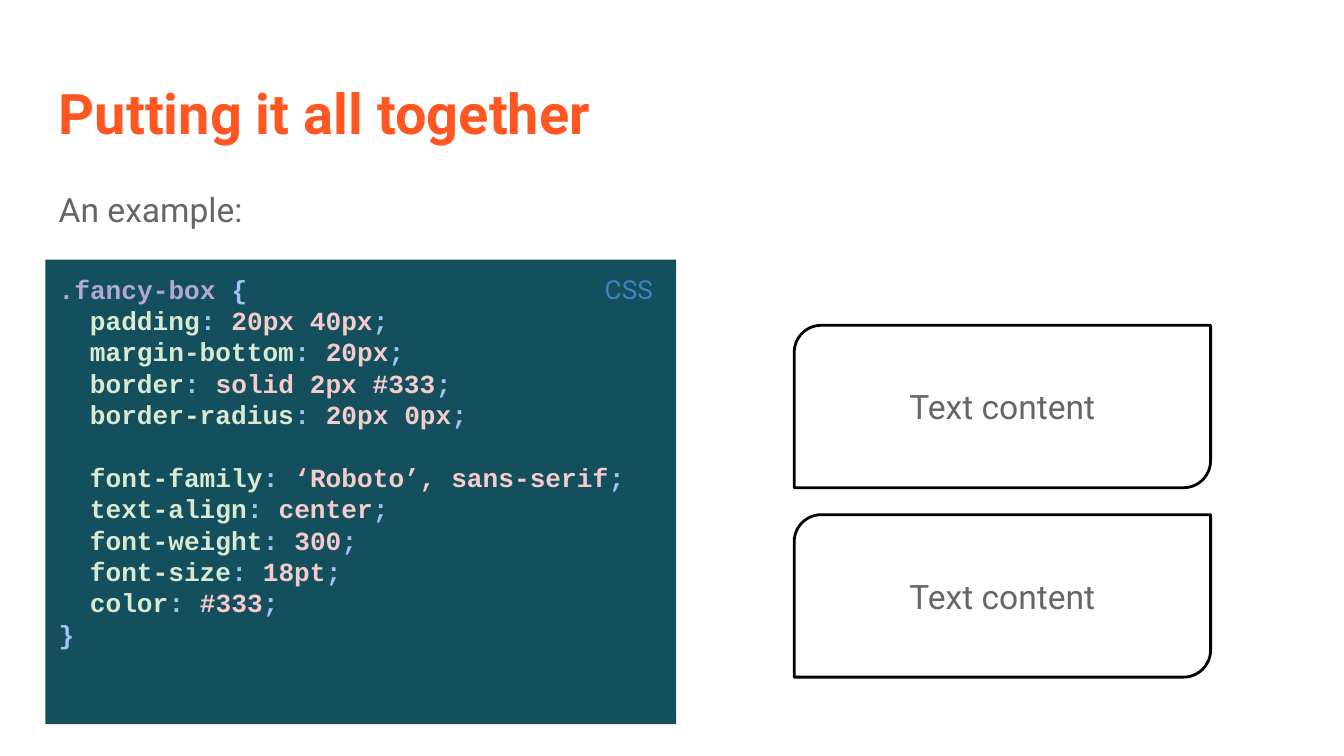
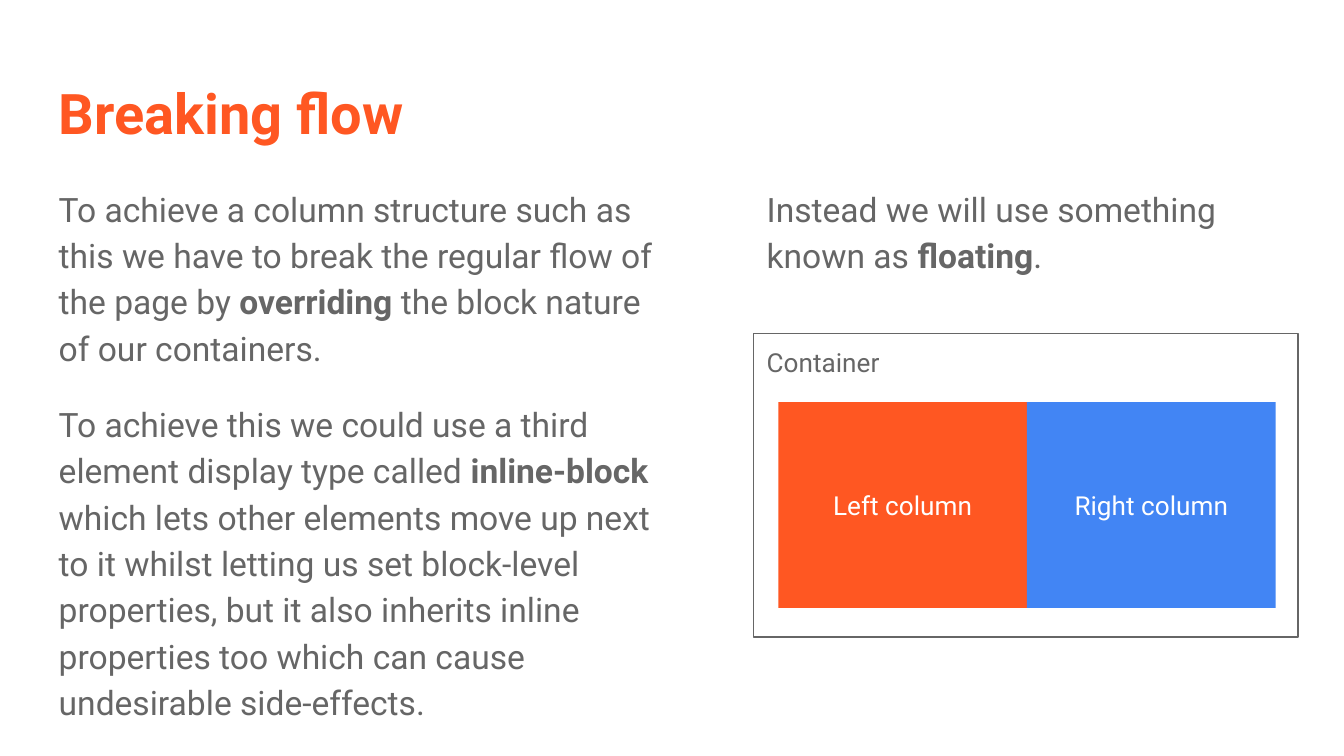
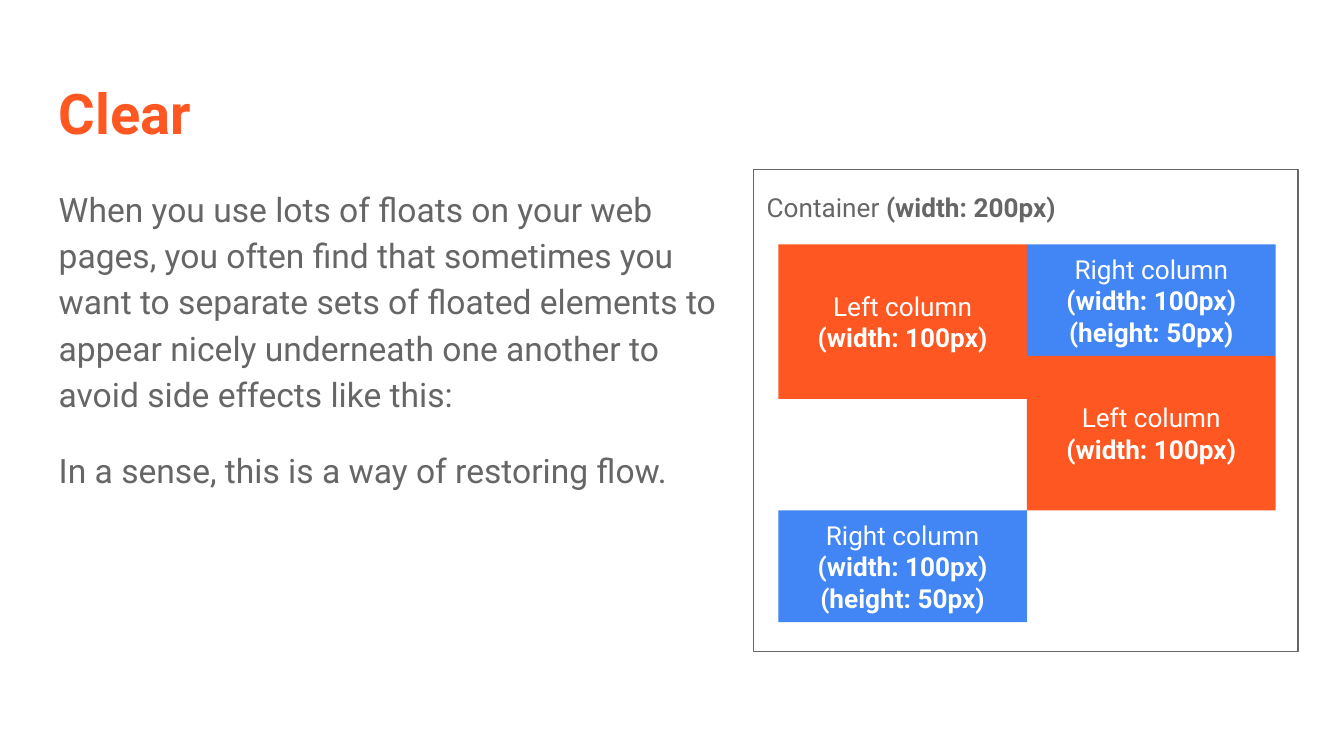
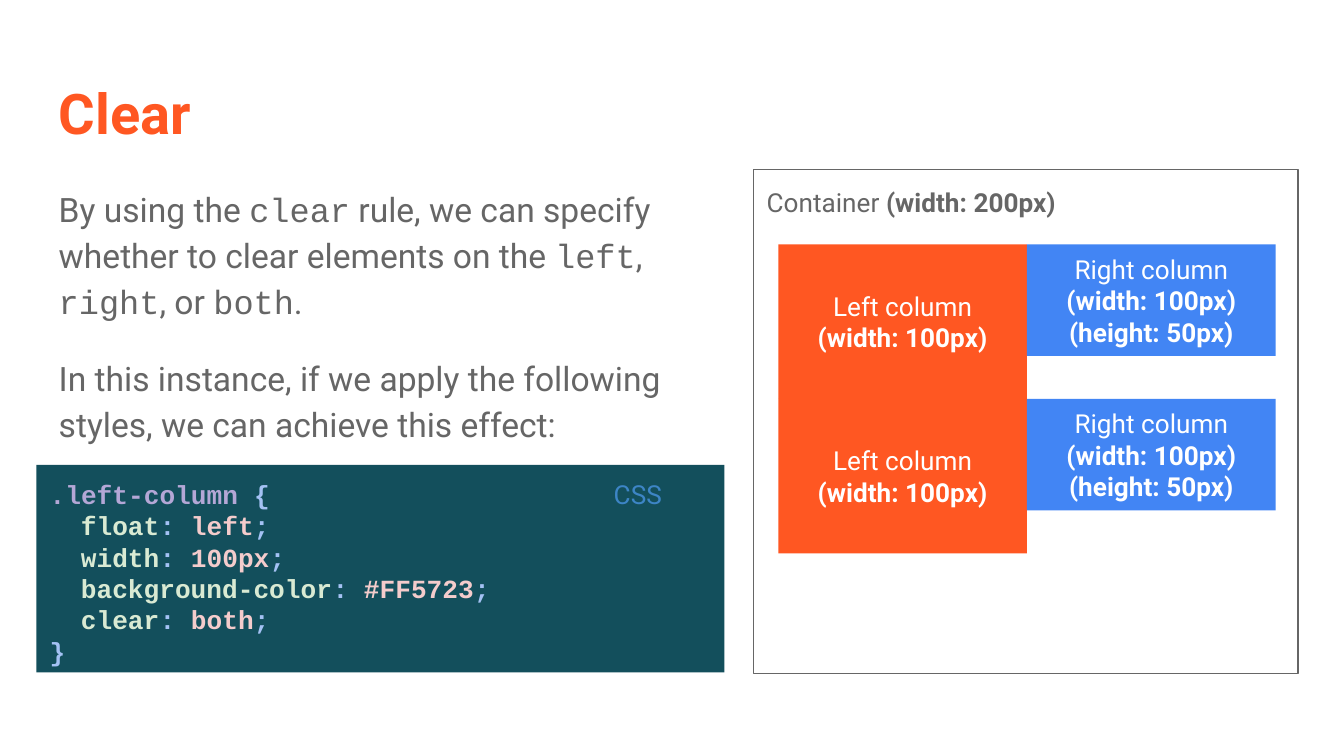
from lxml.etree import SubElement
from pptx import Presentation
from pptx.dml.color import RGBColor
from pptx.enum.shapes import MSO_SHAPE
from pptx.enum.text import MSO_ANCHOR, MSO_AUTO_SIZE, PP_ALIGN
from pptx.oxml.ns import qn
from pptx.util import Cm, Pt

COLORS = {
    "accent": "FF5722",
    "blue": "4285F4",
    "text": "666666",
    "white": "FFFFFF",
    "black": "000000",
    "code_back": "134F5C",
    "code_label": "3D85C6",
    "selector": "B4A7D6",
    "punctuation": "A4C2F4",
    "property": "D9EAD3",
    "value": "F4CCCC",
}
SANS = "Roboto"
MONO = "Courier New"
BOLD = {"bold": True}
LEFT = 0.86
BODY_TOP = 3.2
PANEL_LEFT = 14.24
PANEL_WIDTH = 10.29
COLUMN_LEFT = 14.71
COLUMN_WIDTH = 4.7
LEFT_HEIGHT = 2.92
RIGHT_HEIGHT = 2.11
COLUMNS_TOP = 4.62
CODE_LINE = Pt(16.8)


def color(name):
    return RGBColor.from_string(COLORS[name])


def add_run(paragraph, text, size=14, font=SANS, fill="text", bold=False):
    run = paragraph.add_run()
    run.text = text
    run.font.size = Pt(size)
    run.font.name = font
    run.font.bold = bold
    run.font.color.rgb = color(fill)


def set_indent(paragraph, left=0):
    properties = paragraph._p.get_or_add_pPr()
    properties.set("marL", str(Cm(left)))
    properties.set("indent", "0")
    SubElement(properties, qn("a:buNone"))


def prepare_frame(shape, anchor=MSO_ANCHOR.TOP, top_inset=0.25):
    frame = shape.text_frame
    frame.word_wrap = True
    frame.auto_size = MSO_AUTO_SIZE.NONE
    frame.vertical_anchor = anchor
    frame.margin_left = frame.margin_right = frame.margin_bottom = Cm(0.25)
    frame.margin_top = Cm(top_inset)
    return frame


def next_paragraph(frame, index):
    return frame.add_paragraph() if index else frame.paragraphs[0]


def write_text(frame, lines, align=PP_ALIGN.LEFT, spacing=1.0, gap=0,
               emphasis=BOLD, **style):
    """Pieces between bars take the emphasis."""
    for index, line in enumerate(lines):
        paragraph = next_paragraph(frame, index)
        paragraph.alignment = align
        paragraph.line_spacing = spacing
        paragraph.space_before = Pt(gap if index else 0)
        paragraph.space_after = Pt(0)
        set_indent(paragraph)
        for position, piece in enumerate(line.split("|")):
            if piece:
                extra = emphasis if position % 2 else {}
                add_run(paragraph, piece, **{**style, **extra})


class Deck:
    def __init__(self):
        self.presentation = Presentation()
        self.presentation.slide_width = Cm(25.4)
        self.presentation.slide_height = Cm(14.29)
        self.slide = None

    def start_slide(self, title, body, width, height, emphasis=BOLD):
        layout = self.presentation.slide_layouts[1]
        self.slide = self.presentation.slides.add_slide(layout)
        heading, content = self.slide.placeholders
        self.place(heading, LEFT, 1.24, 23.67, 1.6)
        write_text(prepare_frame(heading), [title], size=30, fill="accent", bold=True)
        self.place(content, LEFT, BODY_TOP, width, height)
        self.write_body(content, body, emphasis)

    def place(self, shape, left, top, width, height):
        shape.left, shape.top = Cm(left), Cm(top)
        shape.width, shape.height = Cm(width), Cm(height)

    def write_body(self, shape, lines, emphasis=BOLD):
        write_text(prepare_frame(shape), lines, spacing=1.15, gap=16,
                   emphasis=emphasis, size=18)

    def text_box(self, left, top, width, height):
        return self.slide.shapes.add_textbox(Cm(left), Cm(top), Cm(width), Cm(height))

    def box(self, left, top, width, height, fill=None, line=None, weight=0.75,
            kind=MSO_SHAPE.RECTANGLE):
        shape = self.slide.shapes.add_shape(
            kind, Cm(left), Cm(top), Cm(width), Cm(height))
        shape.shadow.inherit = False
        if fill:
            shape.fill.solid()
            shape.fill.fore_color.rgb = color(fill)
        else:
            shape.fill.background()
        if line:
            shape.line.color.rgb = color(line)
            shape.line.width = Pt(weight)
        else:
            shape.line.fill.background()
        return shape

    def centered_box(self, lines, *bounds, size=14, text_fill="white", **look):
        frame = prepare_frame(self.box(*bounds, **look), MSO_ANCHOR.MIDDLE)
        write_text(frame, lines, align=PP_ALIGN.CENTER, size=size, fill=text_fill)

    def container(self, label, top, height, fill=None, top_inset=0.25):
        panel = self.box(PANEL_LEFT, top, PANEL_WIDTH, height, fill, "text")
        write_text(prepare_frame(panel, top_inset=top_inset), [label])

    def column(self, side, place, top, height, fill, *sizes):
        lines = [f"{side} column", *(f"|({size})|" for size in sizes)]
        self.centered_box(lines, COLUMN_LEFT + place * COLUMN_WIDTH, top,
                          COLUMN_WIDTH, height, fill=fill)

    def left_column(self, place, top):
        self.column("Left", place, top, LEFT_HEIGHT, "accent", "width: 100px")

    def right_column(self, place, top):
        self.column("Right", place, top, RIGHT_HEIGHT, "blue",
                    "width: 100px", "height: 50px")

    def code(self, selector, groups, left, top, width, height, label_left):
        frame = prepare_frame(self.box(left, top, width, height, "code_back"))
        lines = [(0, 0, [(selector, "selector"), (" {", "punctuation")])]
        for group_index, group in enumerate(groups):
            for index, (name, value) in enumerate(group):
                gap = CODE_LINE if group_index and not index else 0
                lines.append((0.59, gap, [(name, "property"), (": ", "punctuation"),
                                          (value, "value"), (";", "punctuation")]))
        lines.append((0, 0, [("}", "punctuation")]))
        for index, (indent, gap, tokens) in enumerate(lines):
            paragraph = next_paragraph(frame, index)
            paragraph.alignment = PP_ALIGN.LEFT
            paragraph.line_spacing = CODE_LINE
            paragraph.space_before = gap
            set_indent(paragraph, indent)
            for text, fill in tokens:
                add_run(paragraph, text, font=MONO, fill=fill, bold=True)
        label = self.text_box(label_left, top, left + width - label_left, 1.12)
        write_text(prepare_frame(label), ["CSS"], fill="code_label")


def fancy_box_slide(deck):
    deck.start_slide("Putting it all together", ["An example:"], 23.83, 1.35)
    for top in (6.15, 9.73):
        deck.centered_box(["Text content"], 15.01, top, 7.87, 3.07, size=18,
                          text_fill="text", fill="white", line="black", weight=1.5,
                          kind=MSO_SHAPE.ROUND_2_DIAG_RECTANGLE)
    box_rules = [
        ("padding", "20px 40px"),
        ("margin-bottom", "20px"),
        ("border", "solid 2px #333"),
        ("border-radius", "20px 0px"),
    ]
    text_rules = [
        ("font-family", "‘Roboto’, sans-serif"),
        ("text-align", "center"),
        ("font-weight", "300"),
        ("font-size", "18pt"),
        ("color", "#333"),
    ]
    deck.code(".fancy-box", [box_rules, text_rules], LEFT, 4.91, 11.92, 8.78, 11.18)


def breaking_flow_slide(deck):
    deck.start_slide("Breaking flow", [
        "To achieve a column structure such as this we have to break the regular flow "
        "of the page by |overriding |the block nature of our containers.",
        "To achieve this we could use a third element display type called "
        "|inline-block| which lets other elements move up next to it whilst letting us "
        "set block-level properties, but it also inherits inline properties too which "
        "can cause undesirable side-effects.",
    ], 11.73, 9.5)
    deck.container("Container", 6.3, 5.74)
    deck.column("Left", 0, 7.6, 3.89, "accent")
    deck.column("Right", 1, 7.6, 3.89, "blue")
    deck.write_body(deck.text_box(PANEL_LEFT, BODY_TOP, PANEL_WIDTH, 2.51),
                    ["Instead we will use something known as |floating|."])


def side_effect_slide(deck):
    deck.start_slide("Clear", [
        "When you use lots of floats on your web pages, you often find that sometimes "
        "you want to separate sets of floated elements to appear nicely underneath one "
        "another to avoid side effects like this:",
        "In a sense, this is a way of restoring flow.",
    ], 13, 3)
    deck.container("Container |(width: 200px)|", BODY_TOP, 9.12, "white", 0.42)
    second_top = COLUMNS_TOP + RIGHT_HEIGHT
    deck.left_column(0, COLUMNS_TOP)
    deck.right_column(1, COLUMNS_TOP)
    deck.left_column(1, second_top)
    deck.right_column(0, second_top + LEFT_HEIGHT)


def clear_rule_slide(deck):
    deck.start_slide("Clear", [
        "By using the |clear| rule, we can specify whether to clear elements on the "
        "|left|, |right|, or |both|.",
        "In this instance, if we apply the following styles, we can achieve this effect:",
    ], 13, 3, emphasis={"font": MONO})
    deck.container("Container |(width: 200px)|", BODY_TOP, 9.53, "white", 0.33)
    for row in range(2):
        top = COLUMNS_TOP + row * LEFT_HEIGHT
        deck.left_column(0, top)
        deck.right_column(1, top)
    rules = [
        ("float", "left"),
        ("width", "100px"),
        ("background-color", "#FF5723"),
        ("clear", "both"),
    ]
    deck.code(".left-column", [rules], 0.69, 8.79, 13, 3.92, 11.35)


def main():
    deck = Deck()
    fancy_box_slide(deck)
    breaking_flow_slide(deck)
    side_effect_slide(deck)
    clear_rule_slide(deck)
    deck.presentation.save("out.pptx")


if __name__ == "__main__":
    main()
